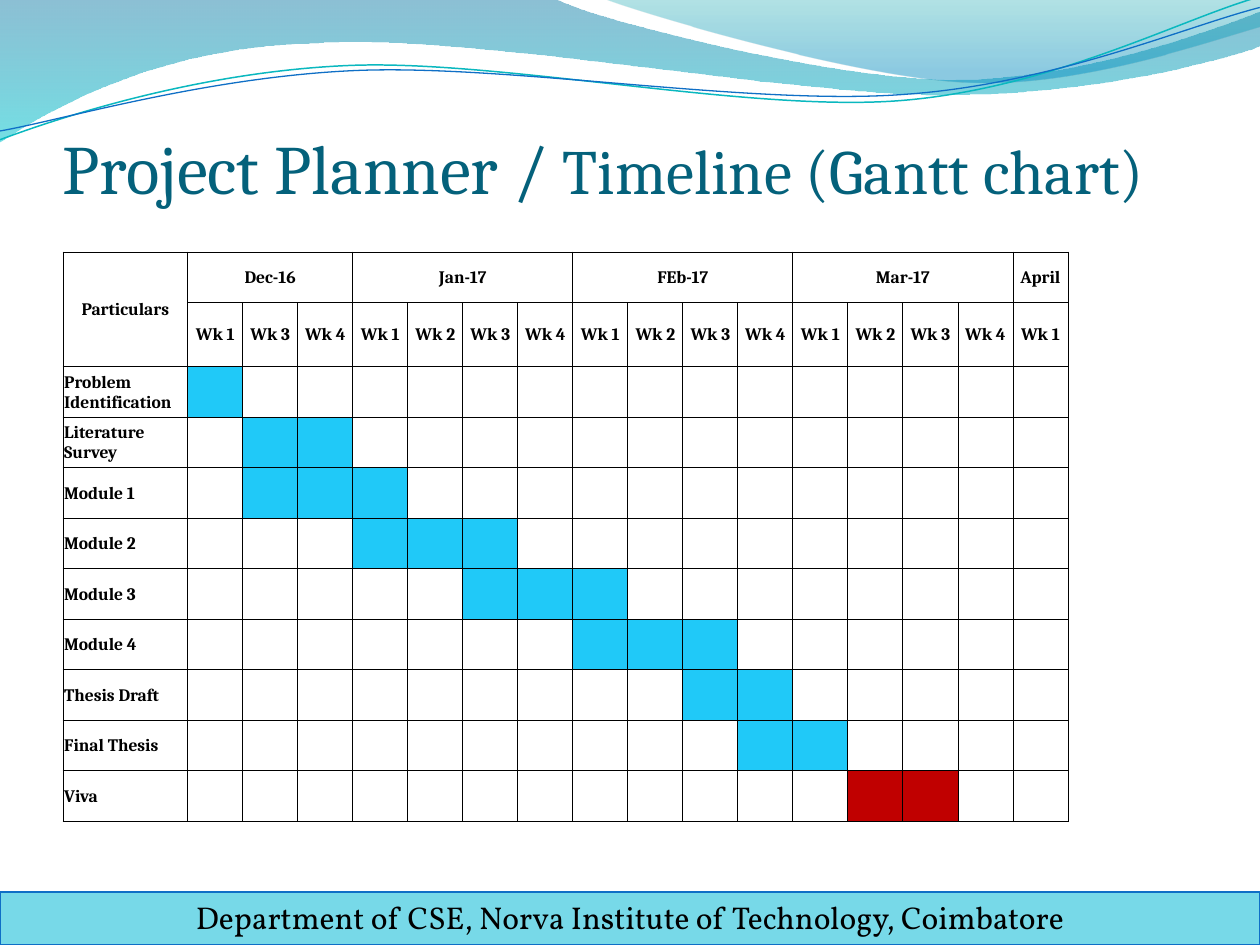
from math import cos, radians, sin

from lxml.etree import SubElement
from pptx import Presentation
from pptx.dml.color import RGBColor
from pptx.enum.shapes import MSO_SHAPE
from pptx.enum.text import MSO_ANCHOR, MSO_AUTO_SIZE, PP_ALIGN
from pptx.oxml.ns import qn
from pptx.util import Inches, Pt

COLORS = {
    "black": "000000", "title": "04617B", "footer": "77D9E8",
    "blue": "0F6FC6", "teal": "0AB8BF", "task": "20C9F8", "viva": "C00000",
    "wave_top": "0074A1", "wave_end": "00C6CF",
    "crest_top": "00A1A9", "crest_end": "008BBF",
}
MONTHS = [("Dec-16", 3), ("Jan-17", 4), ("FEb-17", 4), ("Mar-17", 4), ("April", 1)]
WEEKS = [1, 3, 4] + [1, 2, 3, 4] * 3 + [1]
# Task name, first column, number of weeks, colour
TASKS = [
    ("Problem Identification", 1, 1, "task"),
    ("Literature Survey", 2, 2, "task"),
    ("Module 1", 2, 3, "task"),
    ("Module 2", 4, 3, "task"),
    ("Module 3", 6, 3, "task"),
    ("Module 4", 8, 3, "task"),
    ("Thesis Draft", 10, 2, "task"),
    ("Final Thesis", 11, 2, "task"),
    ("Viva", 13, 2, "viva"),
]
# Each outline is a list of points (x, y) and cubic curves (x1, y1, x2, y2, x, y)
WAVE = [(0, 0), (4.4, -0.01), (4.76, 0.17, 6.64, 0.63, 7.58, 0.63),
        (8.53, 0.63, 9.58, 0.26, 10, 0.09), (10.01, 0.36),
        (9.83, 0.44, 8.7, 0.76, 7.46, 0.75), (6.22, 0.75, 3.82, 0.28, 2.57, 0.34),
        (1.29, 0.36, 0.46, 0.83, -0.01, 1.13)]
CREST = [(4.79, -0.01), (5.09, 0.11, 6.82, 0.62, 7.69, 0.65),
         (8.56, 0.69, 9.61, 0.32, 10, 0.21), (10, 0)]
TEAL_LINE = [(0, 1.11), (0.48, 0.93, 1.58, 0.57, 2.77, 0.52),
             (3.95, 0.47, 5.93, 0.89, 7.13, 0.8), (8.33, 0.71, 9.38, 0.15, 9.98, -0.02)]
BLUE_LINE = [(0, 1.04), (0.47, 0.96, 1.64, 0.61, 2.83, 0.56),
             (4.03, 0.51, 5.97, 0.84, 7.17, 0.75), (8.36, 0.67, 9.41, 0.21, 10, 0.06)]
TILT = -2.7


def rgb(name):
    """Return a named colour."""
    return RGBColor.from_string(COLORS[name])


def add_text(tf, text, size=10, font="Cambria", color="black", bold=False, align=None):
    """Add a formatted run to the first paragraph of a text frame."""
    p = tf.paragraphs[0]
    p.alignment = align
    r = p.add_run()
    r.text = text
    r.font.size, r.font.name, r.font.bold = Pt(size), font, bold
    r.font.color.rgb = rgb(color)


def turn(x, y, angle, cx, cy):
    """Turn a point clockwise about a centre."""
    a = radians(angle)
    dx, dy = x - cx, y - cy
    return cx + dx * cos(a) - dy * sin(a), cy + dx * sin(a) + dy * cos(a)


def add_outline(s, outline, closed, tilt=0):
    """Draw an outline with true curves as a freeform without shadow."""
    points = [part[i:i + 2] for part in outline for i in range(0, len(part), 2)]
    xs, ys = zip(*points)
    cx, cy = (min(xs) + max(xs)) / 2, (min(ys) + max(ys)) / 2
    points = [tuple(map(Inches, turn(x, y, -tilt, cx, cy))) for x, y in points]
    builder = s.shapes.build_freeform(*points[0])
    builder.add_line_segments(points[1:], close=closed)
    sp = builder.convert_to_shape()
    sp.shadow.inherit = False
    sp.rotation = tilt % 360
    lines = iter(list(sp._element.iter(qn("a:lnTo"))))
    for part in outline[1:]:
        segment = next(lines)
        if len(part) == 6:
            segment.tag = qn("a:cubicBezTo")
            for _ in range(2):
                extra = next(lines)
                segment.append(extra[0])
                extra.getparent().remove(extra)
    return sp


def add_wave(s, outline, stops):
    """Draw a filled wave; stops are (position, colour, opacity in percent)."""
    sp = add_outline(s, outline, True)
    sp.line.fill.background()
    sp.fill.gradient()
    sp.fill.gradient_angle = 270
    for stop, (position, color, _) in zip(sp.fill.gradient_stops, stops):
        stop.position = position
        stop.color.rgb = rgb(color)
    for clr, (_, _, opacity) in zip(sp._element.spPr.iter(qn("a:srgbClr")), stops):
        SubElement(clr, qn("a:alpha"), val=str(opacity * 1000))


def add_curve(s, outline, color, width):
    """Draw an open curved line."""
    sp = add_outline(s, outline, False, TILT)
    sp.fill.background()
    sp.line.color.rgb = rgb(color)
    sp.line.width = Pt(width)


def add_title(s):
    """Add the two-size title."""
    sp = s.shapes.add_textbox(Inches(0.5), Inches(0.92), Inches(9), Inches(0.73))
    tf = sp.text_frame
    tf.word_wrap = True
    tf.vertical_anchor = MSO_ANCHOR.BOTTOM
    tf.margin_left = tf.margin_right = tf.margin_bottom = 0
    add_text(tf, "Project Planner / ", size=39.6, color="title")
    add_text(tf, "Timeline (Gantt chart)", size=36, color="title")


def add_footer(s):
    """Add the footer band."""
    sp = s.shapes.add_shape(MSO_SHAPE.RECTANGLE, 0, Inches(7.08), Inches(10), Inches(0.42))
    sp.shadow.inherit = False
    sp.fill.solid()
    sp.fill.fore_color.rgb = rgb("footer")
    sp.line.color.rgb = rgb("blue")
    sp.line.width = Pt(0.75)
    tf = sp.text_frame
    tf.auto_size = MSO_AUTO_SIZE.SHAPE_TO_FIT_TEXT
    tf.vertical_anchor = MSO_ANCHOR.TOP
    add_text(tf, "Department of CSE, Norva Institute of Technology, Coimbatore",
             size=18, font="Vollkorn", align=PP_ALIGN.CENTER)


def style_cell(cell):
    """Give a cell thin black borders, small margins and no fill."""
    tc_pr = cell._tc.get_or_add_tcPr()
    for side in ("a:lnL", "a:lnR", "a:lnT", "a:lnB"):
        ln = SubElement(tc_pr, qn(side), w=str(Pt(0.5)))
        fill = SubElement(ln, qn("a:solidFill"))
        SubElement(fill, qn("a:srgbClr"), val=COLORS["black"])
    cell.margin_left = cell.margin_right = cell.margin_top = Inches(0.01)
    cell.margin_bottom = 0
    cell.vertical_anchor = MSO_ANCHOR.MIDDLE
    cell.fill.background()


def add_gantt(s):
    """Add the timeline table."""
    rows, cols = len(TASKS) + 2, len(WEEKS) + 1
    width, height, name_width, week_height = map(Inches, (7.98, 4.52, 0.99, 0.51))
    table = s.shapes.add_table(rows, cols, Inches(0.5), Inches(2), width, height).table
    table.first_row = table.horz_banding = False
    for i, col in enumerate(table.columns):
        col.width = (width - name_width) // len(WEEKS) if i else name_width
    for i, row in enumerate(table.rows):
        row.height = week_height if i == 1 else (height - week_height) // (rows - 1)
    for cell in table.iter_cells():
        style_cell(cell)

    def label(row, col, text, align=PP_ALIGN.CENTER):
        """Write bold text in a cell."""
        add_text(table.cell(row, col).text_frame, text, bold=True, align=align)

    table.cell(0, 0).merge(table.cell(1, 0))
    label(0, 0, "Particulars")
    col = 1
    for month, span in MONTHS:
        if span > 1:
            table.cell(0, col).merge(table.cell(0, col + span - 1))
        label(0, col, month)
        col += span
    for col, week in enumerate(WEEKS, 1):
        label(1, col, f"Wk {week}")
    for row, (name, start, length, color) in enumerate(TASKS, 2):
        label(row, 0, name, align=PP_ALIGN.LEFT)
        for col in range(start, start + length):
            fill = table.cell(row, col).fill
            fill.solid()
            fill.fore_color.rgb = rgb(color)


def main():
    """Build the slide and save it."""
    prs = Presentation()
    prs.slide_width, prs.slide_height = Inches(10), Inches(7.5)
    s = prs.slides.add_slide(prs.slide_layouts[6])
    add_wave(s, WAVE, [(0, "wave_top", 45), (1, "wave_end", 55)])
    add_wave(s, CREST, [(0, "crest_top", 30), (0.8, "crest_end", 45)])
    add_curve(s, TEAL_LINE, "teal", 0.85)
    add_curve(s, BLUE_LINE, "blue", 0.75)
    add_title(s)
    add_footer(s)
    add_gantt(s)
    prs.save("out.pptx")


main()
